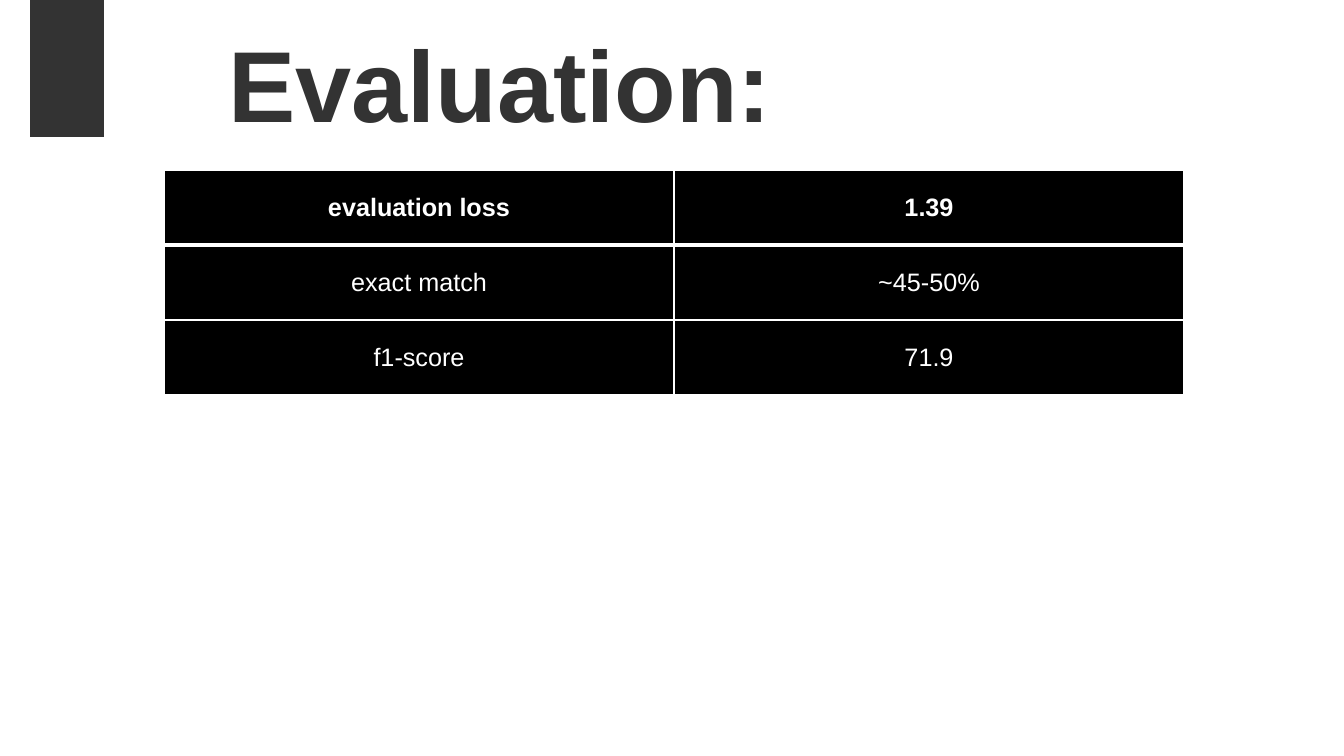
from pptx import Presentation
from pptx.dml.color import RGBColor
from pptx.enum.shapes import MSO_SHAPE
from pptx.enum.text import MSO_ANCHOR, PP_ALIGN
from pptx.oxml import parse_xml
from pptx.oxml.ns import nsdecls
from pptx.util import Emu, Pt

EMU_PER_PX = 12192000 / 1344
CHARCOAL = RGBColor(0x33, 0x33, 0x33)
BLACK = RGBColor(0, 0, 0)
WHITE = RGBColor(0xFF, 0xFF, 0xFF)
METRICS = [
    ("evaluation loss", "1.39"),
    ("exact match", "~45-50%"),
    ("f1-score", "71.9"),
]


def px(length):
    return Emu(round(length * EMU_PER_PX))


class SlideBuilder:
    font_name = "Arial"

    def __init__(self, presentation):
        self.slide = presentation.slides.add_slide(presentation.slide_layouts[6])

    def set_text(self, text_frame, text, size, color, bold):
        text_frame.text = text
        paragraph = text_frame.paragraphs[0]
        paragraph.alignment = PP_ALIGN.CENTER
        font = paragraph.runs[0].font
        font.name = self.font_name
        font.size = Pt(size)
        font.bold = bold
        font.color.rgb = color

    def title(self, text, left, top, width, height):
        shape = self.slide.shapes.add_textbox(*map(px, (left, top, width, height)))
        text_frame = shape.text_frame
        text_frame.word_wrap = False
        text_frame.margin_top = px(16)
        text_frame.margin_bottom = 0
        self.set_text(text_frame, text, 72, CHARCOAL, True)

    def block(self, left, top, width, height):
        shape = self.slide.shapes.add_shape(
            MSO_SHAPE.RECTANGLE, *map(px, (left, top, width, height)))
        shape.shadow.inherit = False
        shape.fill.solid()
        shape.fill.fore_color.rgb = CHARCOAL
        shape.line.fill.background()

    def border(self, cell, widths):
        properties = cell._tc.get_or_add_tcPr()
        for index, (side, width) in enumerate(widths.items()):
            properties.insert(index, parse_xml(
                f'<a:ln{side} {nsdecls("a")} w="{Pt(width)}"><a:solidFill>'
                f'<a:srgbClr val="{WHITE}"/></a:solidFill></a:ln{side}>'))

    def table(self, rows, left, top, column_width, row_height):
        columns = len(rows[0])
        table = self.slide.shapes.add_table(
            len(rows), columns, px(left), px(top),
            px(column_width * columns), px(row_height * len(rows))).table
        for row_index, values in enumerate(rows):
            for column_index, value in enumerate(values):
                cell = table.cell(row_index, column_index)
                cell.fill.solid()
                cell.fill.fore_color.rgb = BLACK
                cell.vertical_anchor = MSO_ANCHOR.MIDDLE
                self.set_text(cell.text_frame, value, 18, WHITE, row_index == 0)
                self.border(cell, {
                    "L": 1,
                    "R": 1,
                    "T": 3 if row_index == 1 else 1,
                    "B": 3 if row_index == 0 else 1,
                })


def main():
    presentation = Presentation()
    presentation.slide_width = px(1344)
    presentation.slide_height = px(756)
    builder = SlideBuilder(presentation)
    builder.title("Evaluation:", 164, 6, 672, 111)
    builder.block(30, 0, 74, 137)
    builder.table(METRICS, 164, 170, 510, 75)
    presentation.save("out.pptx")


if __name__ == "__main__":
    main()
